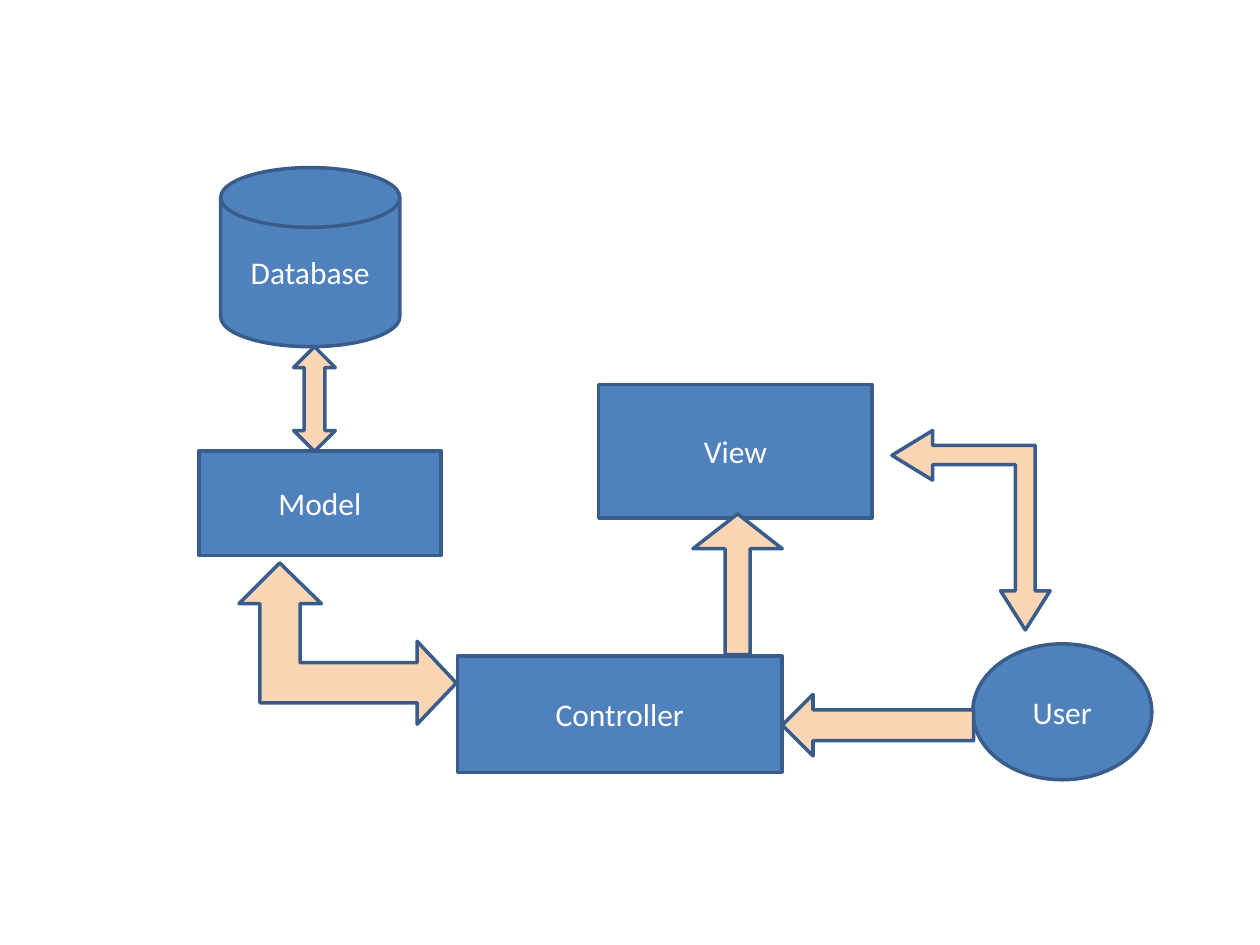
from pptx import Presentation
from pptx import util as u
from pptx.dml import color
from pptx.enum import shapes, text

NODE_FILL, ARROW_FILL, OUTLINE = "4F81BD", "FCD5B5", "385D8A"
KINDS = shapes.MSO_SHAPE

NODES = [
    ("Database", KINDS.FLOWCHART_MAGNETIC_DISK, (4.45, 3.38, 3.61, 3.61)),
    ("Model", KINDS.RECTANGLE, (4.01, 9.09, 4.88, 2.11)),
    ("Controller", KINDS.RECTANGLE, (9.22, 13.23, 6.55, 2.34)),
    ("View", KINDS.RECTANGLE, (12.07, 7.75, 5.51, 2.69)),
    ("User", KINDS.OVAL, (19.61, 12.98, 3.61, 2.74)),
]
DATABASE_MODEL = (5.92, 6.99, 0.84, 2.11)
USER_CONTROLLER = (15.77, 14, 3.86, 1.24)
CONTROLLER_VIEW = (13.97, 10.36, 1.8, 2.84)
MODEL_CONTROLLER = [
    (5.64, 11.35), (6.48, 12.17), (6.05, 12.17), (6.05, 13.36),
    (8.41, 13.36), (8.41, 12.93), (9.2, 13.77), (8.41, 14.6),
    (8.41, 14.17), (5.24, 14.17), (5.24, 12.17), (4.82, 12.17),
]
VIEW_USER = [
    (20.67, 12.7), (20.17, 11.91), (20.47, 11.91), (20.47, 9.37),
    (18.8, 9.37), (18.8, 9.68), (17.98, 9.18), (18.8, 8.68),
    (18.8, 8.98), (20.87, 8.98), (20.87, 11.91), (21.17, 11.91),
]


def rgb(value):
    """Return the colour for a hex string."""
    return color.RGBColor.from_string(value)


def paint(shape, fill):
    """Give a shape its fill and the common outline, without shadow."""
    shape.shadow.inherit = False
    shape.fill.solid()
    shape.fill.fore_color.rgb = rgb(fill)
    shape.line.color.rgb = rgb(OUTLINE)
    shape.line.width = u.Pt(2)


def write(shape, words, size=18, font="Calibri", ink="FFFFFF"):
    """Write one centred line of text in a shape."""
    frame = shape.text_frame
    frame.word_wrap = True
    frame.vertical_anchor = text.MSO_ANCHOR.MIDDLE
    para = frame.paragraphs[0]
    para.alignment = text.PP_ALIGN.CENTER
    span = para.add_run()
    span.text = words
    span.font.size = u.Pt(size)
    span.font.name = font
    span.font.color.rgb = rgb(ink)


def add_preset(page, kind, place, fill):
    """Add a painted preset shape at a place given in centimetres."""
    shape = page.shapes.add_shape(kind, *map(u.Cm, place))
    paint(shape, fill)
    return shape


def add_node(page, words, kind, place):
    """Add a labelled part of the diagram."""
    write(add_preset(page, kind, place, NODE_FILL), words)


def add_arrow(page, kind, place, *adjustments):
    """Add a straight block arrow."""
    arrow = add_preset(page, kind, place, ARROW_FILL)
    for index, value in enumerate(adjustments):
        arrow.adjustments[index] = value


def add_bent_arrow(page, corners):
    """Add a two-headed bent arrow through its corners."""
    start, *rest = [(u.Cm(x), u.Cm(y)) for x, y in corners]
    builder = page.shapes.build_freeform(*start)
    builder.add_line_segments(rest, close=True)
    paint(builder.convert_to_shape(), ARROW_FILL)


def main():
    """Build the diagram and save it."""
    deck = Presentation()
    deck.slide_width, deck.slide_height = u.Cm(25.4), u.Cm(19.05)
    page = deck.slides.add_slide(deck.slide_layouts[6])
    for node in NODES:
        add_node(page, *node)
    add_arrow(page, KINDS.UP_DOWN_ARROW, DATABASE_MODEL, 0.5, 0.5)
    add_arrow(page, KINDS.LEFT_ARROW, USER_CONTROLLER, 0.5, 0.5)
    add_bent_arrow(page, MODEL_CONTROLLER)
    add_arrow(page, KINDS.UP_ARROW, CONTROLLER_VIEW, 0.28, 0.39)
    add_bent_arrow(page, VIEW_USER)
    deck.save("out.pptx")


if __name__ == "__main__":
    main()
